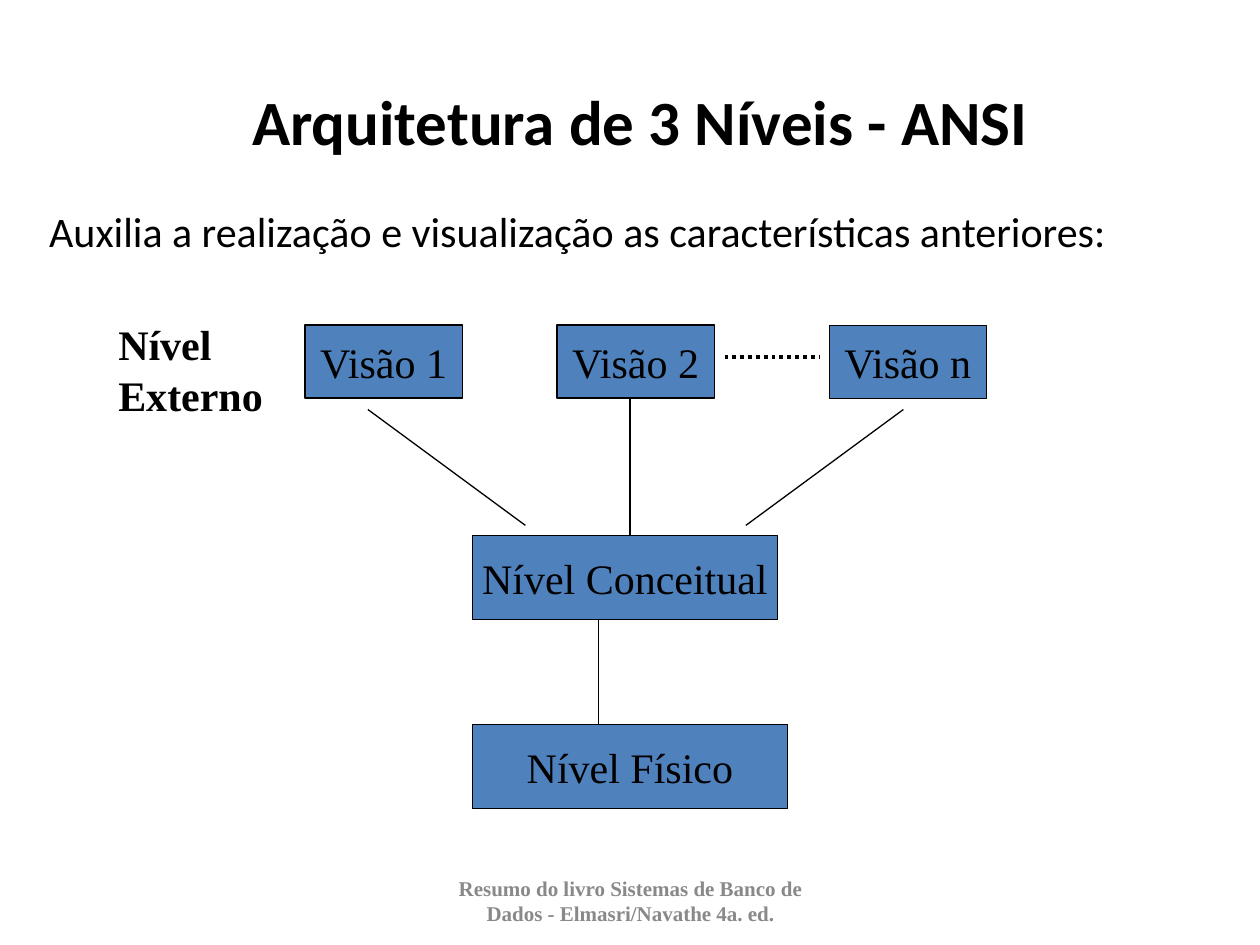
"""Build a slide on the three-level ANSI database architecture."""
from lxml import etree
from pptx import Presentation
from pptx.dml.color import RGBColor
from pptx.enum.dml import MSO_LINE
from pptx.enum.shapes import MSO_CONNECTOR, MSO_SHAPE
from pptx.enum.text import MSO_ANCHOR, MSO_AUTO_SIZE, PP_ALIGN
from pptx.oxml.ns import qn
from pptx.util import Inches, Pt

RECT, STRAIGHT = MSO_SHAPE.RECTANGLE, MSO_CONNECTOR.STRAIGHT
LEFT, CENTER = PP_ALIGN.LEFT, PP_ALIGN.CENTER
TOP, MIDDLE = MSO_ANCHOR.TOP, MSO_ANCHOR.MIDDLE
NO_FIT, GROW = MSO_AUTO_SIZE.NONE, MSO_AUTO_SIZE.SHAPE_TO_FIT_TEXT
DOTS = MSO_LINE.ROUND_DOT

THEME = {
    "ink": "000000", "box": "4F81BD", "muted": "898989",
    "sans": "Calibri", "serif": "Times New Roman",
    "title": 36, "text": 24, "foot": 12,
    "thin": 0.75, "hair": 0.25, "thick": 2.25,
}

TITLE = "Arquitetura de 3 Níveis - ANSI"
INTRO = "Auxilia a realização e visualização as características anteriores:"
FOOTER = "Resumo do livro Sistemas de Banco de Dados - Elmasri/Navathe 4a. ed."
LABEL = ["Nível", "Externo"]
VIEW_TOP, VIEW_W, VIEW_H = 2.58, 1.25, 0.58
LEVEL_LEFT, LEVEL_H = 3.75, 0.67
VIEWS = [("Visão 1", 2.42, "thin"), ("Visão 2", 4.42, "thin"), ("Visão n", 6.58, "hair")]
LEVELS = [("Nível Conceitual", 4.25, 2.42), ("Nível Físico", 5.75, 2.5)]
LINKS = [
    ((2.92, 3.25), (4.17, 4.17)),
    ((5, 3.17), (5, 4.25)),
    ((7.17, 3.25), (5.92, 4.17)),
    ((4.75, 4.92), (4.75, 5.75)),
]
GAP = ((5.75, 2.83), (6.5, 2.83))


def color(name):
    return RGBColor.from_string(THEME[name])


def place(shape, *box):
    shape.left, shape.top, shape.width, shape.height = map(Inches, box)
    return shape


def write(shape, *lines, size="text", font="serif", ink="ink", bold=False,
          align=CENTER, anchor=MIDDLE, wrap=True, fit=NO_FIT):
    frame = shape.text_frame
    frame.text = "\n".join(lines)
    frame.word_wrap, frame.auto_size, frame.vertical_anchor = wrap, fit, anchor
    for para in frame.paragraphs:
        para.alignment = align
        for run in para.runs:
            run.font.name, run.font.size = THEME[font], Pt(THEME[size])
            run.font.bold, run.font.color.rgb = bold, color(ink)
    return frame


def add_text(slide, box, *lines, **style):
    write(slide.shapes.add_textbox(*map(Inches, box)), *lines, **style)


def add_box(slide, text, box, edge="thin"):
    shape = slide.shapes.add_shape(RECT, *map(Inches, box))
    shape.shadow.inherit = False
    shape.fill.solid()
    shape.fill.fore_color.rgb = color("box")
    shape.line.color.rgb = color("ink")
    shape.line.width = Pt(THEME[edge])
    write(shape, text, wrap=False)


def add_link(slide, start, end, width="thin", dash=None):
    link = slide.shapes.add_connector(STRAIGHT, *map(Inches, start + end))
    link.line.color.rgb = color("ink")
    link.line.width = Pt(THEME[width])
    if dash:
        link.line.dash_style = dash
    etree.SubElement(link._element.spPr, qn("a:effectLst"))


def add_intro(shape):
    place(shape, 0.29, 1.58, 8.92, 5.4)
    para = write(shape, INTRO, font="sans", align=LEFT, anchor=TOP).paragraphs[0]
    para.space_before = Pt(6)
    props = para._p.get_or_add_pPr()
    props.set("marL", str(Inches(0.38)))
    props.set("indent", str(Inches(-0.38)))
    etree.SubElement(props, qn("a:buNone"))


def main():
    deck = Presentation()
    deck.slide_width, deck.slide_height = Inches(10), Inches(7.5)
    slide = deck.slides.add_slide(deck.slide_layouts[1])
    title = place(slide.shapes.title, 0.83, 0.33, 8.5, 1.25)
    write(title, TITLE, size="title", font="sans", bold=True)
    add_intro(slide.placeholders[1])
    add_text(slide, (3.42, 6.95, 3.17, 0.4), FOOTER, size="foot", ink="muted", bold=True)
    for text, left, edge in VIEWS:
        add_box(slide, text, (left, VIEW_TOP, VIEW_W, VIEW_H), edge)
    for text, top, width in LEVELS:
        add_box(slide, text, (LEVEL_LEFT, top, width, LEVEL_H))
    for start, end in LINKS:
        add_link(slide, start, end)
    add_link(slide, *GAP, width="thick", dash=DOTS)
    add_text(slide, (0.84, 2.48, 1.35, 0.9), *LABEL, bold=True, align=LEFT,
             anchor=TOP, wrap=False, fit=GROW)
    deck.save("out.pptx")


if __name__ == "__main__":
    main()
